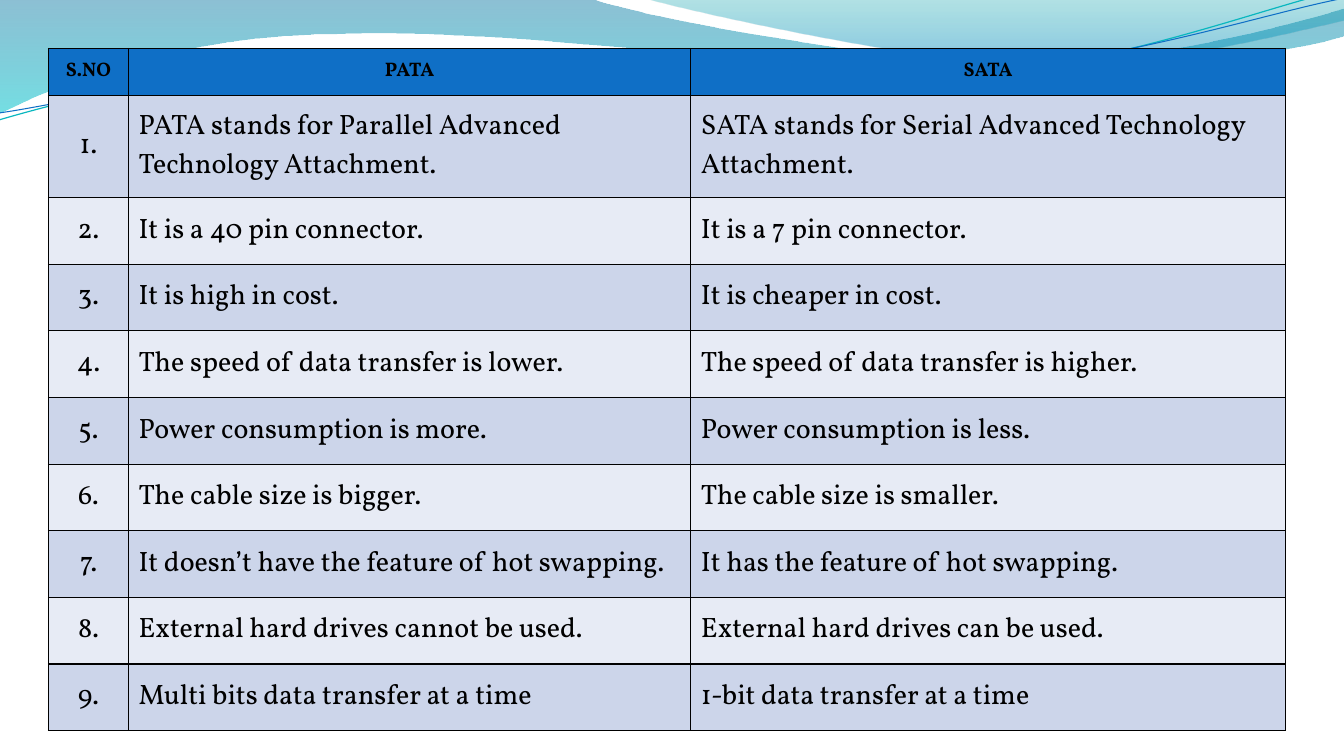
import math

from lxml import etree
from pptx import Presentation, util as u
from pptx.dml.color import RGBColor
from pptx.enum import text
from pptx.oxml.ns import qn

COLORS = {
    "header": "0F6FC6", "odd": "CCD5EA", "even": "E7EBF5", "ink": "000000",
    "deep": "0074A0", "cyan": "00C4CD", "teal": "00A0A8", "sky": "008ABF",
    "thin_teal": "09B7BF", "thin_blue": "0F6FC6",
}
HEADINGS = ("S.NO", "PATA", "SATA")
COMPARISONS = [
    ("PATA stands for Parallel Advanced Technology Attachment.",
     "SATA stands for Serial Advanced Technology Attachment."),
    ("It is a 40 pin connector.", "It is a 7 pin connector."),
    ("It is high in cost.", "It is cheaper in cost."),
    ("The speed of data transfer is lower.", "The speed of data transfer is higher."),
    ("Power consumption is more.", "Power consumption is less."),
    ("The cable size is bigger.", "The cable size is smaller."),
    ("It doesn’t have the feature of hot swapping.", "It has the feature of hot swapping."),
    ("External hard drives cannot be used.", "External hard drives can be used."),
    ("Multi bits data transfer at a time", "1-bit data transfer at a time"),
]
TABLE_LEFT, TABLE_TOP = 34.6, 34.6
COLUMN_WIDTHS = (57.2, 401.7, 424.8)
ROW_HEIGHTS = (33.7, 72.9) + (47.6,) * 8
BORDER_WIDTH = 0.96

WAVES = [
    {"start": (0, 0), "stops": [(0, "deep", 45), (1, "cyan", 55)], "segments": [
        [(422.6, -0.7)],
        [(456.5, 12.2), (637.2, 45.4), (727.9, 45.4)],
        [(818.6, 45.4), (920.2, 18.7), (959.8, 6.5)],
        [(961.2, 25.9)],
        [(943.9, 31.7), (835.2, 54.7), (715.7, 54)],
        [(596.9, 54), (366.5, 20.2), (247, 24.5)],
        [(123.8, 25.2), (43.9, 59.8), (-0.7, 81.4)]]},
    {"start": (460.1, -0.7), "stops": [(0, "teal", 30), (0.8, "sky", 45)], "segments": [
        [(489.6, 7.9), (654.5, 44.6), (738, 46.8)],
        [(821.5, 49.7), (923, 23), (959.8, 15.1)],
        [(959.8, 0)]]},
    {"start": (-0.7, 85.7), "line": ("thin_teal", 0.85), "center": (478.8, 41.4), "segments": [
        [(46.1, 72), (151.9, 44.6), (265.7, 39.6)],
        [(379.4, 34.6), (568.1, 62.6), (684, 54.7)],
        [(799.2, 46.8), (900.7, 5.8), (958.3, -7.2)]]},
    {"start": (0, 80.6), "line": ("thin_blue", 0.75), "center": (480.2, 42.5), "segments": [
        [(45.4, 74.2), (157, 47.5), (272.2, 42.5)],
        [(386.6, 38.2), (573.1, 59), (687.6, 51.8)],
        [(802.8, 43.9), (903.6, 9.4), (960.5, -1.4)]]},
]
LINE_TILT = 2.7


def color(key):
    return RGBColor.from_string(COLORS[key])


def level(point, center):
    angle = math.radians(LINE_TILT)
    dx, dy = point[0] - center[0], point[1] - center[1]
    return (center[0] + dx * math.cos(angle) - dy * math.sin(angle),
            center[1] + dx * math.sin(angle) + dy * math.cos(angle))


def bend(wave, segments):
    corners = iter(list(wave._element.iter(qn("a:lnTo"))))
    for segment in segments:
        group = [next(corners) for _ in segment]
        if len(group) == 3:
            curve = etree.Element(qn("a:cubicBezTo"))
            group[0].addprevious(curve)
            for corner in group:
                curve.append(corner[0])
                corner.getparent().remove(corner)


def add_wave(slide, start, segments, stops=None, line=None, center=None):
    points = [start] + [point for segment in segments for point in segment]
    if center:
        points = [level(point, center) for point in points]
    outline = [(u.Pt(x), u.Pt(y)) for x, y in points]
    builder = slide.shapes.build_freeform(*outline[0])
    builder.add_line_segments(outline[1:], close=stops is not None)
    wave = builder.convert_to_shape()
    bend(wave, segments)
    wave.shadow.inherit = False
    if line:
        wave.rotation = 360 - LINE_TILT
        wave.fill.background()
        wave.line.color.rgb = color(line[0])
        wave.line.width = u.Pt(line[1])
        return
    wave.line.fill.background()
    wave.fill.gradient()
    wave.fill.gradient_angle = 270
    for stop, (position, key, _) in zip(wave.fill.gradient_stops, stops):
        stop.position = position
        stop.color.rgb = color(key)
    for tint, (_, _, opacity) in zip(wave._element.spPr.iter(qn("a:srgbClr")), stops):
        etree.SubElement(tint, qn("a:alpha"), val=str(opacity * 1000))


def add_borders(cell):
    properties = cell._tc.get_or_add_tcPr()
    for index, side in enumerate(("lnL", "lnR", "lnT", "lnB")):
        border = etree.Element(qn("a:" + side), w=str(u.Pt(BORDER_WIDTH)))
        solid = etree.SubElement(border, qn("a:solidFill"))
        etree.SubElement(solid, qn("a:srgbClr"), val=COLORS["ink"])
        properties.insert(index, border)


def fill_cell(cell, wording, row, column):
    header = row == 0
    side = 2.9 if header and column == 0 else 7.2
    cell_format = {"vertical_anchor": text.MSO_ANCHOR.MIDDLE, "margin_left": u.Pt(side),
                   "margin_right": u.Pt(side), "margin_top": u.Pt(3.6),
                   "margin_bottom": u.Pt(3.6), "text": wording}
    for name, value in cell_format.items():
        setattr(cell, name, value)
    cell.fill.solid()
    cell.fill.fore_color.rgb = color("header" if header else "odd" if row % 2 else "even")
    paragraph = cell.text_frame.paragraphs[0]
    centred = header or column == 0
    paragraph.alignment = text.PP_ALIGN.CENTER if centred else text.PP_ALIGN.LEFT
    font = paragraph.runs[0].font
    font_format = {"name": "Vollkorn", "size": u.Pt(14 if header else 20), "bold": header}
    for name, value in font_format.items():
        setattr(font, name, value)
    font.color.rgb = color("ink")
    add_borders(cell)


def add_comparison(slide):
    rows = [HEADINGS] + [(f"{number}.", *pair) for number, pair in enumerate(COMPARISONS, 1)]
    table = slide.shapes.add_table(
        len(rows), len(HEADINGS), u.Pt(TABLE_LEFT), u.Pt(TABLE_TOP),
        u.Pt(sum(COLUMN_WIDTHS)), u.Pt(sum(ROW_HEIGHTS))).table
    for column, width in zip(table.columns, COLUMN_WIDTHS):
        column.width = u.Pt(width)
    for row, height in zip(table.rows, ROW_HEIGHTS):
        row.height = u.Pt(height)
    for row, wordings in enumerate(rows):
        for column, wording in enumerate(wordings):
            fill_cell(table.cell(row, column), wording, row, column)


def main():
    deck = Presentation()
    deck.slide_width, deck.slide_height = u.Pt(960), u.Pt(540)
    slide = deck.slides.add_slide(deck.slide_layouts[6])
    for wave in WAVES:
        add_wave(slide, **wave)
    add_comparison(slide)
    deck.save("out.pptx")


if __name__ == "__main__":
    main()
